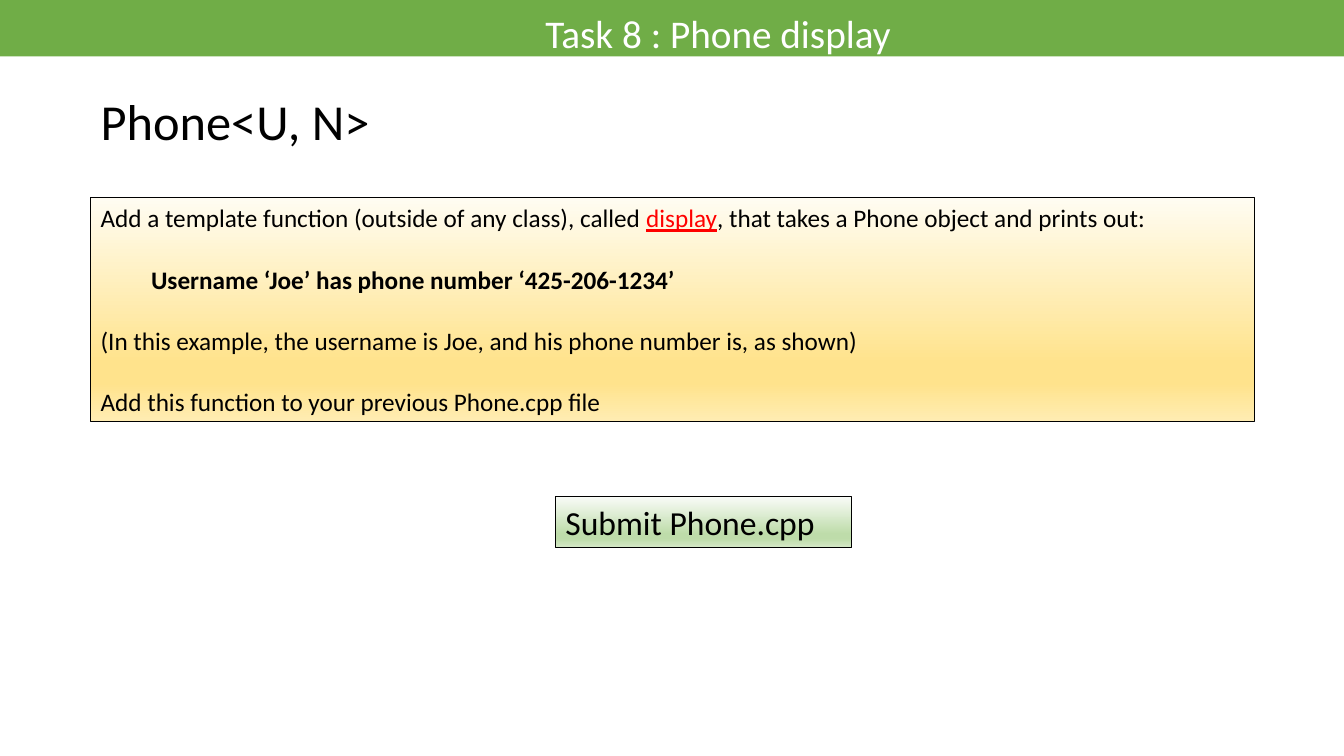
from lxml import etree
from pptx import Presentation
from pptx.dml.color import RGBColor
from pptx.enum.shapes import MSO_SHAPE
from pptx.oxml.ns import qn
from pptx.util import Inches, Pt

RECTANGLE = MSO_SHAPE.RECTANGLE
FONT = "Calibri"
COLORS = {"banner": "70AD47", "text": "000000", "white": "FFFFFF", "accent": "FF0000"}
GOLD = {0: "FFFCF2", 74: "FFE38C", 83: "FFE38C", 100: "FFECB2"}
GREEN = {0: "F8FBF6", 74: "BEDCAA", 83: "BEDCAA", 100: "D4E8C6"}
TASK_SIZE = 18
BLANK_LINE = Pt(22)
INDENT = Inches(0.5)

# Each paragraph is a list of (text, format) spans.
TASK = [
    [("Add a template function (outside of any class), called ", {}),
     ("display", {"color": "accent", "underline": True}),
     (", that takes a Phone object and prints out:", {})],
    [("Username ‘Joe’ has phone number ‘425-206-1234’", {"bold": True})],
    [("(In this example, the username is Joe, and his phone number is, as shown)", {})],
    [("Add this function to your previous Phone.cpp file", {})],
]
INDENTED = 1


def rgb(name):
    return RGBColor.from_string(COLORS[name])


def add_span(para, text, size, color="text", **formats):
    span = para.add_run()
    span.text = text
    span.font.color.rgb = rgb(color)
    for name, value in {"name": FONT, "size": Pt(size), **formats}.items():
        setattr(span.font, name, value)


def add_rectangle(page, box):
    shape = page.shapes.add_shape(RECTANGLE, *map(Inches, box))
    shape.shadow.inherit = False
    return shape


def add_panel(page, box, stops):
    """Add a thinly outlined rectangle with a top-to-bottom gradient."""
    panel = add_rectangle(page, box)
    panel.line.color.rgb = rgb("text")
    panel.line.width = Pt(0.75)
    panel.fill.gradient()
    panel.fill.gradient_angle = 270
    stop_list = panel.fill._xPr.find(qn("a:gradFill")).find(qn("a:gsLst"))
    for stop in list(stop_list):
        stop_list.remove(stop)
    for percent, color in stops.items():
        stop = etree.SubElement(stop_list, qn("a:gs"), pos=str(percent * 1000))
        etree.SubElement(stop, qn("a:srgbClr"), val=color)
    return panel


def write_paragraphs(shape, paragraphs, size):
    frame = shape.text_frame
    frame.word_wrap = True
    for index, spans in enumerate(paragraphs):
        para = frame.add_paragraph() if index else frame.paragraphs[0]
        para.alignment = 1
        if index:
            para.space_before = BLANK_LINE
        if index == INDENTED:
            para.level = 1
            para._p.get_or_add_pPr().set("marL", str(INDENT))
        for text, formats in spans:
            add_span(para, text, size, **formats)


def add_label(page, box, text, size, color="text"):
    label = page.shapes.add_textbox(*map(Inches, box))
    write_paragraphs(label, [[(text, {"color": color})]], size)


def add_banner(page, box):
    banner = add_rectangle(page, box)
    banner.fill.solid()
    banner.fill.fore_color.rgb = rgb("banner")
    banner.line.fill.background()
    left, top, width, height = box
    add_label(page, (left + 5.31, top + 0.04, 4.69, 0.57),
              "Task 8 : Phone display", 28, "white")


def add_task(page, box):
    """Add the heading and, lower in the box, the task description."""
    left, top, width, height = box
    heading_offset = 1.12
    add_label(page, (left, top, 6.64, 0.71), "Phone<U, N>", 36)
    panel = add_panel(page, (left, top + heading_offset, width, height - heading_offset), GOLD)
    write_paragraphs(panel, TASK, TASK_SIZE)


def add_submission(page, box):
    panel = add_panel(page, box, GREEN)
    write_paragraphs(panel, [[("Submit Phone.cpp", {})]], 24)


def main():
    deck = Presentation()
    deck.slide_width, deck.slide_height = Inches(13.33), Inches(7.5)
    page = deck.slides.add_slide(deck.slide_layouts[6])
    add_banner(page, (0, 0, 13.33, 0.56))
    add_task(page, (0.9, 0.84, 11.54, 3.34))
    add_submission(page, (5.51, 4.93, 2.94, 0.5))
    deck.save("out.pptx")


if __name__ == "__main__":
    main()
